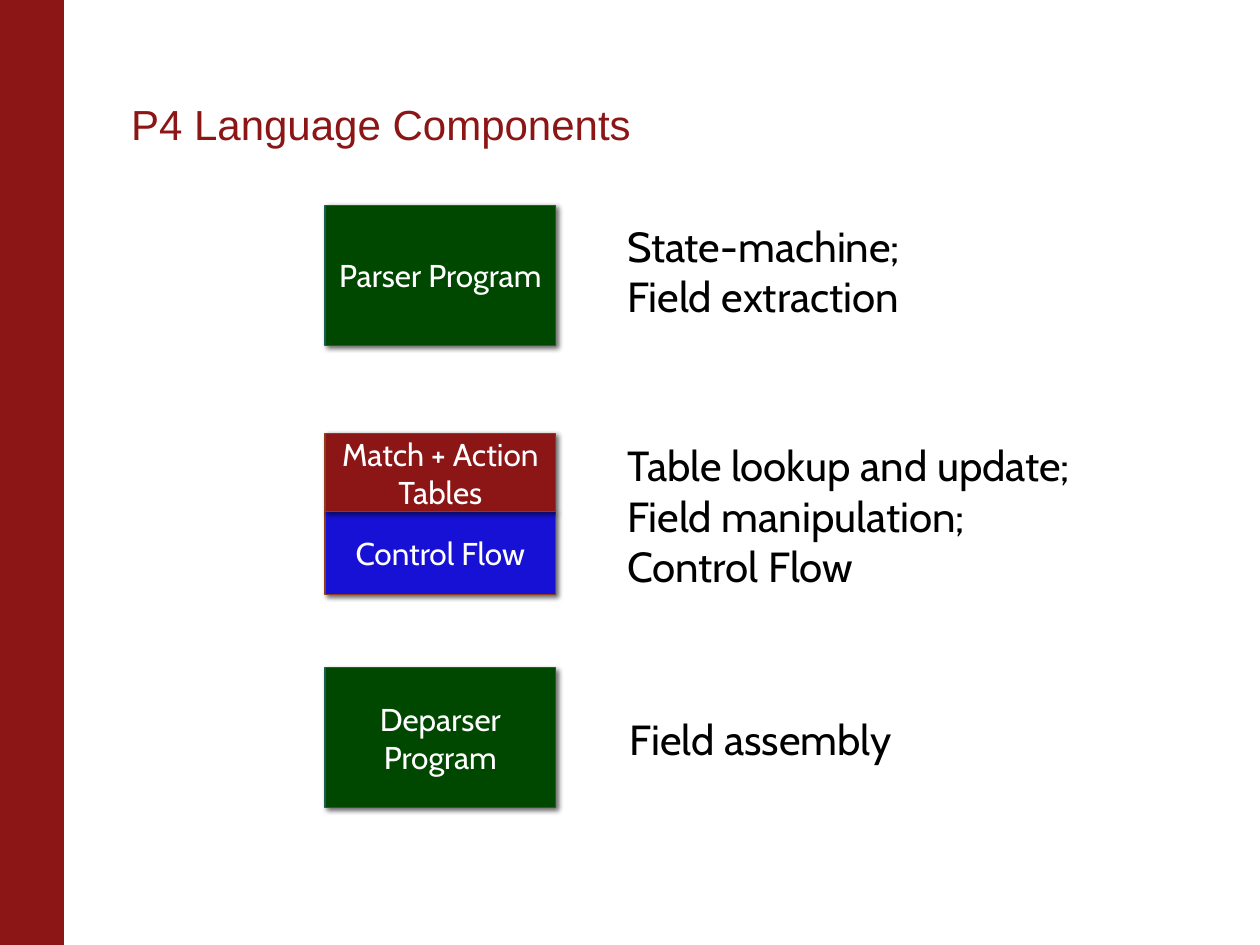
from lxml.etree import SubElement
from pptx import Presentation
from pptx.dml.color import RGBColor
from pptx.enum.shapes import MSO_SHAPE
from pptx.enum.text import MSO_ANCHOR, MSO_AUTO_SIZE, PP_ALIGN
from pptx.oxml.ns import qn
from pptx.util import Inches, Pt


def color(value):
    """Turn a hex string into a colour."""
    return RGBColor.from_string(value)


class SlideBuilder:
    """Hold the style and the current slide."""

    title_font = "Arial"
    body_font = "Cabin"
    cardinal = "8C1515"
    green = "004800"
    green_edge = "175E54"
    blue = "1711D6"
    brown_edge = "8D3C1E"
    white = "FFFFFF"
    black = "000000"

    def __init__(self, slide):
        """Start building on the given slide."""
        self.slide = slide

    def format_paragraph(self, paragraph, font, size, text_color, alignment=PP_ALIGN.LEFT):
        """Apply font and alignment to a paragraph."""
        paragraph.alignment = alignment
        paragraph.font.name = font
        paragraph.font.size = Pt(size)
        paragraph.font.color.rgb = color(text_color)

    def add_title(self, text, left, top, width, height):
        """Place and format the title placeholder."""
        title = self.slide.shapes.title
        title.left, title.top = Inches(left), Inches(top)
        title.width, title.height = Inches(width), Inches(height)
        frame = title.text_frame
        frame.text = text
        frame.auto_size = MSO_AUTO_SIZE.NONE
        frame.vertical_anchor = MSO_ANCHOR.BOTTOM
        frame.margin_left = 0
        paragraph = frame.paragraphs[0]
        paragraph.line_spacing = 0.85
        self.format_paragraph(paragraph, self.title_font, 24, self.cardinal)

    def add_rectangle(self, left, top, width, height, fill, edge):
        """Add a flat filled rectangle."""
        shape = self.slide.shapes.add_shape(
            MSO_SHAPE.RECTANGLE, Inches(left), Inches(top), Inches(width), Inches(height)
        )
        shape.fill.solid()
        shape.fill.fore_color.rgb = color(fill)
        shape.line.color.rgb = color(edge)
        shape.line.width = Pt(0.75)
        shape.shadow.inherit = False
        return shape

    def add_shadow(self, shape):
        """Cast a soft shadow to the lower right."""
        effects = shape.element.spPr.find(qn("a:effectLst"))
        shadow = SubElement(
            effects, qn("a:outerShdw"), blurRad=str(Pt(3)), dist=str(Pt(2)),
            dir=str(45 * 60000), algn="tl", rotWithShape="0",
        )
        shade = SubElement(shadow, qn("a:srgbClr"), val=self.black)
        SubElement(shade, qn("a:alpha"), val="60000")

    def add_component(self, text, top, height, fill, edge):
        """Add a labelled component box in the left column."""
        shape = self.add_rectangle(2.58, top, 1.83, height, fill, edge)
        self.add_shadow(shape)
        frame = shape.text_frame
        frame.text = text
        frame.word_wrap = True
        frame.vertical_anchor = MSO_ANCHOR.MIDDLE
        self.format_paragraph(
            frame.paragraphs[0], self.body_font, 18, self.white, PP_ALIGN.CENTER
        )

    def add_description(self, lines, left, top, width, height):
        """Add a description with one paragraph per line."""
        box = self.slide.shapes.add_textbox(
            Inches(left), Inches(top), Inches(width), Inches(height)
        )
        frame = box.text_frame
        frame.word_wrap = False
        frame.auto_size = MSO_AUTO_SIZE.SHAPE_TO_FIT_TEXT
        frame.text = "\n".join(lines)
        for paragraph in frame.paragraphs:
            self.format_paragraph(paragraph, self.body_font, 24, self.black)


def main():
    """Build the slide and save it."""
    presentation = Presentation()
    presentation.slide_width = Inches(10)
    presentation.slide_height = Inches(7.5)
    slide = presentation.slides.add_slide(presentation.slide_layouts[5])
    builder = SlideBuilder(slide)

    builder.add_rectangle(0, 0, 0.5, 7.5, builder.cardinal, builder.cardinal)
    builder.add_title("P4 Language Components", 1.04, 0.52, 8.43, 0.71)

    components = [
        ("Parser Program", 1.63, 1.11, builder.green, builder.green_edge),
        ("Control Flow", 4.06, 0.66, builder.blue, builder.brown_edge),
        ("Deparser Program", 5.3, 1.11, builder.green, builder.green_edge),
        ("Match + Action Tables", 3.44, 0.62, builder.cardinal, builder.brown_edge),
    ]
    for component in components:
        builder.add_component(*component)

    descriptions = [
        (["State-machine;", "Field extraction"], 4.88, 1.7, 2.47, 0.91),
        (
            ["Table lookup and update;", "Field manipulation;", "Control Flow"],
            4.88, 3.44, 3.96, 1.31,
        ),
        (["Field assembly"], 4.9, 5.61, 2.45, 0.5),
    ]
    for description in descriptions:
        builder.add_description(*description)

    presentation.save("out.pptx")


if __name__ == "__main__":
    main()
